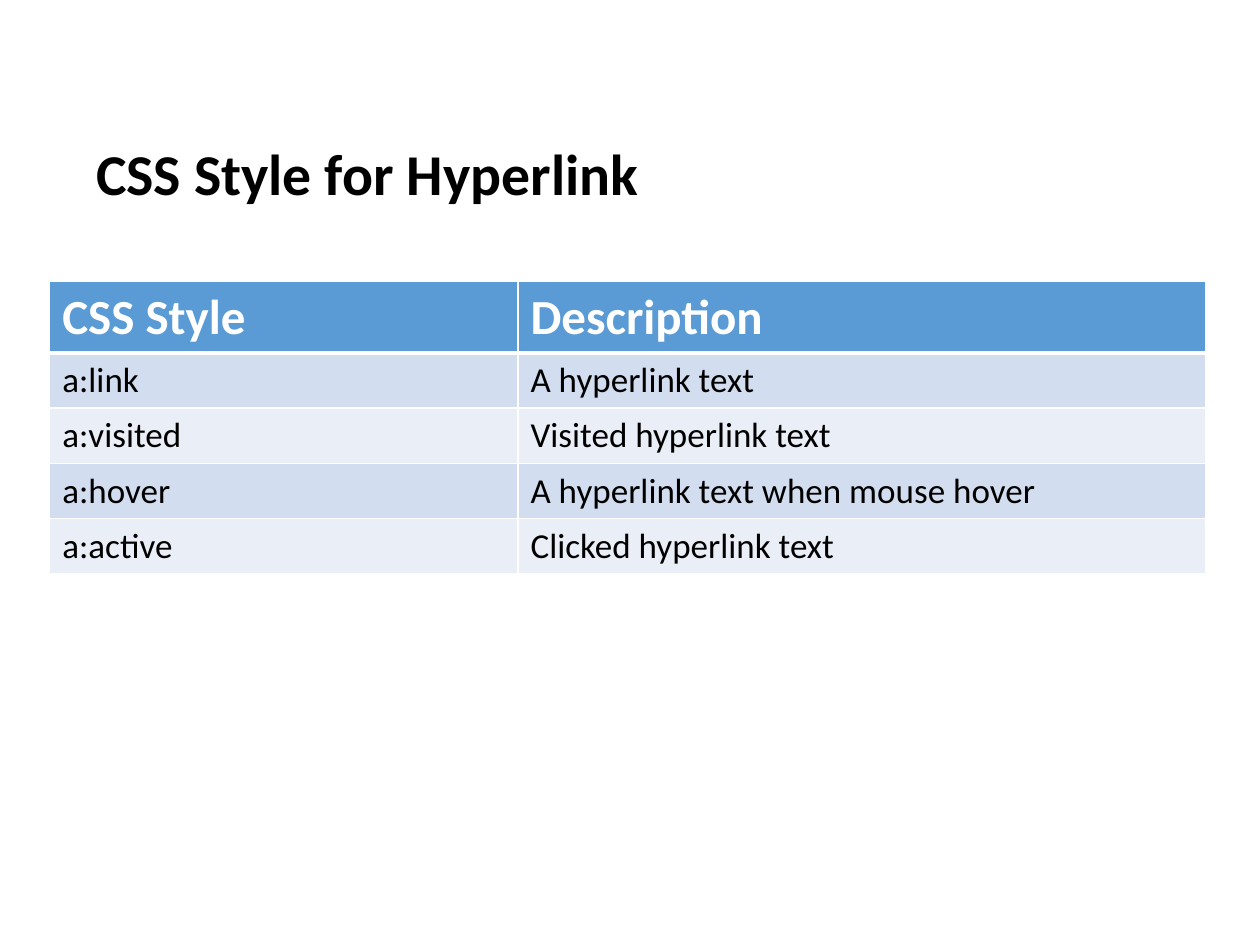
"""Build a slide with a table of CSS styles for hyperlinks."""
from lxml import etree
from pptx import Presentation
from pptx.dml.color import RGBColor
from pptx.enum.text import MSO_ANCHOR
from pptx.oxml.ns import qn
from pptx.util import Pt

MIDDLE = MSO_ANCHOR.MIDDLE
BLACK = RGBColor(0x00, 0x00, 0x00)
WHITE = RGBColor(0xFF, 0xFF, 0xFF)
BLUE = RGBColor(0x5B, 0x9B, 0xD5)
BANDS = (RGBColor(0xD2, 0xDE, 0xEF), RGBColor(0xEA, 0xEF, 0xF7))

ROWS = (
    ("CSS Style", "Description"),
    ("a:link", "A hyperlink text"),
    ("a:visited", "Visited hyperlink text"),
    ("a:hover", "A hyperlink text when mouse hover"),
    ("a:active", "Clicked hyperlink text"),
)


def write(tf, text, font="Calibri", size=20, color=BLACK, bold=False, spacing=1.0):
    p = tf.paragraphs[0]
    p.line_spacing = spacing
    r = p.add_run()
    r.text = text
    r.font.name = font
    r.font.size = Pt(size)
    r.font.bold = bold
    r.font.color.rgb = color


def set_borders(cell, color, **widths):
    tcPr = cell._tc.get_or_add_tcPr()
    for side, width in widths.items():
        ln = etree.SubElement(tcPr, qn(f"a:ln{side}"), w=str(Pt(width)))
        fill = etree.SubElement(ln, qn("a:solidFill"))
        etree.SubElement(fill, qn("a:srgbClr"), val=str(color))


class SlideBuilder:
    def __init__(self, s, font="Calibri"):
        self.s = s
        self.font = font

    def title(self, text, x, y, w, h):
        sp = self.s.shapes.add_textbox(Pt(x), Pt(y), Pt(w), Pt(h))
        tf = sp.text_frame
        tf.word_wrap = True
        tf.vertical_anchor = MIDDLE
        tf.margin_left = tf.margin_right = Pt(5.4)
        tf.margin_top = tf.margin_bottom = Pt(2.7)
        write(tf, text, font=self.font, size=33, bold=True, spacing=0.9)

    def table(self, rows, x, y, widths, header_height, row_height):
        heights = [header_height] + [row_height] * (len(rows) - 1)
        sp = self.s.shapes.add_table(len(rows), len(widths), Pt(x), Pt(y),
                                     Pt(sum(widths)), Pt(sum(heights)))
        table = sp.table
        for column, width in zip(table.columns, widths):
            column.width = Pt(width)
        for i, (values, height) in enumerate(zip(rows, heights)):
            table.rows[i].height = Pt(height)
            header = i == 0
            for j, text in enumerate(values):
                cell = table.cell(i, j)
                set_borders(cell, WHITE, L=1, R=1, T=3 if i == 1 else 1,
                            B=3 if header else 1)
                cell.fill.solid()
                cell.fill.fore_color.rgb = BLUE if header else BANDS[(i - 1) % 2]
                write(cell.text_frame, text, font=self.font, bold=header,
                      size=28 if header else 20, color=WHITE if header else BLACK)


def main():
    prs = Presentation()
    prs.slide_width, prs.slide_height = Pt(720), Pt(540)
    builder = SlideBuilder(prs.slides.add_slide(prs.slide_layouts[6]))
    builder.title("CSS Style for Hyperlink", 49.5, 49, 621, 104.4)
    builder.table(ROWS, 28.4, 160.8, (267.6, 393.2), 40.8, 31.6)
    prs.save("out.pptx")


if __name__ == "__main__":
    main()
